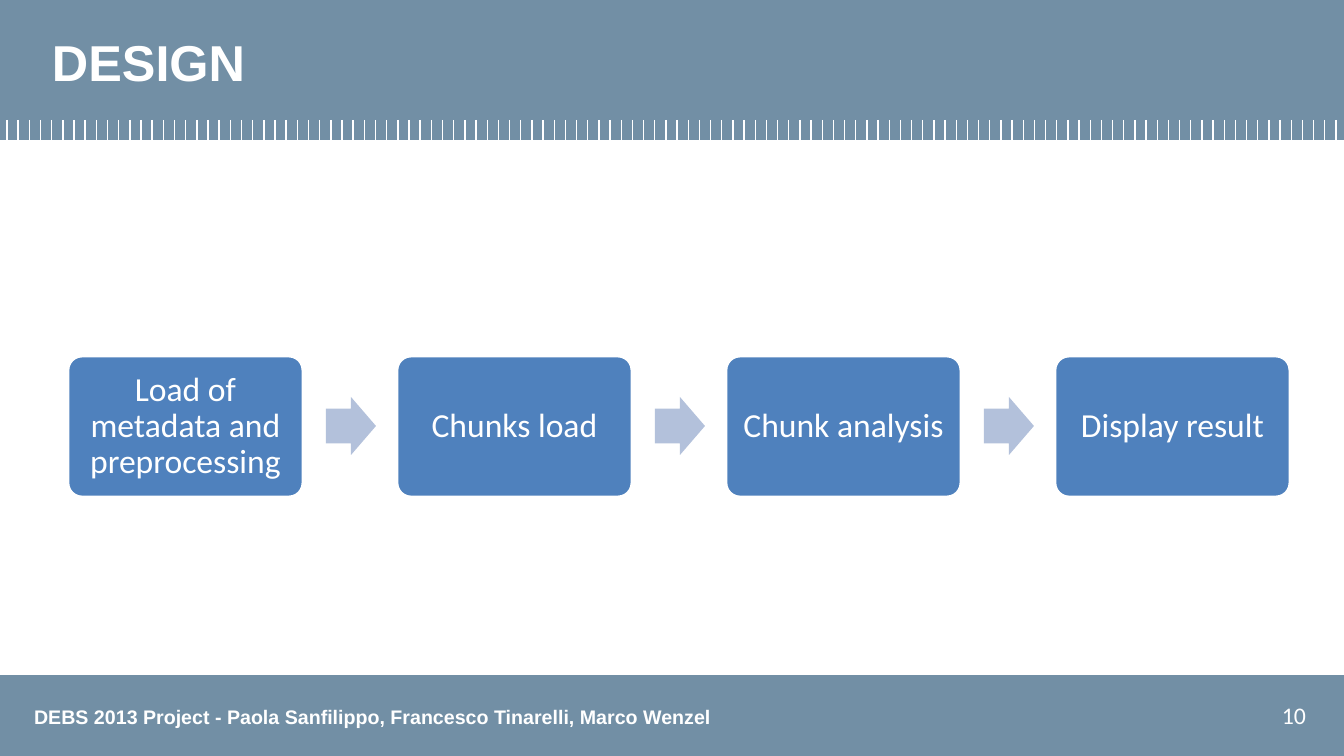
from pptx import Presentation
from pptx.dml.color import RGBColor
from pptx.enum.shapes import MSO_CONNECTOR, MSO_SHAPE
from pptx.enum.text import MSO_ANCHOR, PP_ALIGN
from pptx.oxml.ns import qn
from pptx.util import Pt
from lxml.etree import SubElement

EMU_PER_PIXEL = 914400 / 100.8
PAGE_WIDTH, PAGE_HEIGHT = 1344, 756
WHITE, SLATE, BLUE, PALE_BLUE = "FFFFFF", "728FA5", "4F81BD", "B3C1DB"

STEPS = ["Load of metadata and preprocessing", "Chunks load",
         "Chunk analysis", "Display result"]
STEP_LEFT, STEP_PITCH, ARROW_OFFSET = 68, 329, 258

HEADER_HEIGHT, FOOTER_TOP = 140, 675
TICK_COUNT, TICK_LEFT, TICK_RIGHT, TICK_TOP = 120, 7, 1336, 120


def emu(pixels):
    """Turn pixels into EMU."""
    return round(pixels * EMU_PER_PIXEL)


def color(value):
    """Turn a hex string into a colour."""
    return RGBColor.from_string(value)


def write(box, text, size=24, font="Calibri", bold=False, wrap=True,
          align=PP_ALIGN.LEFT, anchor=MSO_ANCHOR.TOP, inset=(10, 5), spacing=1.0):
    """Write one formatted white paragraph into a shape."""
    frame = box.text_frame
    frame.word_wrap = wrap
    frame.vertical_anchor = anchor
    frame.margin_left = frame.margin_right = emu(inset[0])
    frame.margin_top = frame.margin_bottom = emu(inset[1])
    para = frame.paragraphs[0]
    para.alignment = align
    para.line_spacing = spacing
    span = para.add_run()
    span.text = text
    span.font.size = Pt(size)
    span.font.name = font
    span.font.bold = bold
    span.font.color.rgb = color(WHITE)


def add_label(page, left, top, width, height, text, **style):
    """Add a text box."""
    box = page.shapes.add_textbox(emu(left), emu(top), emu(width), emu(height))
    write(box, text, **style)


def add_block(page, kind, left, top, width, height, fill, adjust=(), line_width=0):
    """Add a filled preset shape, with a white outline if it has a width."""
    block = page.shapes.add_shape(kind, emu(left), emu(top), emu(width), emu(height))
    block.shadow.inherit = False
    block.fill.solid()
    block.fill.fore_color.rgb = color(fill)
    for index, value in enumerate(adjust):
        block.adjustments[index] = value
    if line_width:
        block.line.color.rgb = color(WHITE)
        block.line.width = Pt(line_width)
    else:
        block.line.fill.background()
    return block


def add_ticks(page):
    """Draw the evenly spaced ruler ticks at the foot of the header."""
    pitch = (TICK_RIGHT - TICK_LEFT) / (TICK_COUNT - 1)
    for index in range(TICK_COUNT):
        x = emu(TICK_LEFT + index * pitch)
        tick = page.shapes.add_connector(
            MSO_CONNECTOR.STRAIGHT, x, emu(TICK_TOP), x, emu(HEADER_HEIGHT))
        tick.line.color.rgb = color(WHITE)
        tick.line.width = Pt(1)
        SubElement(tick._element.spPr, qn("a:effectLst"))


def add_process(page):
    """Draw the row of steps with an arrow between neighbours."""
    for index, step in enumerate(STEPS):
        left = STEP_LEFT + index * STEP_PITCH
        block = add_block(page, MSO_SHAPE.ROUNDED_RECTANGLE, left, 356, 235, 141,
                          BLUE, adjust=[0.1], line_width=2)
        write(block, step, align=PP_ALIGN.CENTER, anchor=MSO_ANCHOR.MIDDLE,
              inset=(10, 10), spacing=0.9)
        if index < len(STEPS) - 1:
            add_block(page, MSO_SHAPE.RIGHT_ARROW, left + ARROW_OFFSET, 397, 50, 58,
                      PALE_BLUE, adjust=[0.6, 0.5])


def main():
    """Build the slide and save it."""
    deck = Presentation()
    deck.slide_width, deck.slide_height = emu(PAGE_WIDTH), emu(PAGE_HEIGHT)
    page = deck.slides.add_slide(deck.slide_layouts[6])

    add_block(page, MSO_SHAPE.RECTANGLE, 0, 0, PAGE_WIDTH, HEADER_HEIGHT, SLATE)
    add_block(page, MSO_SHAPE.RECTANGLE, 0, FOOTER_TOP, PAGE_WIDTH,
              PAGE_HEIGHT - FOOTER_TOP, SLATE)
    add_label(page, 24, 700, 700, 34,
              "DEBS 2013 Project - Paola Sanfilippo, Francesco Tinarelli, Marco Wenzel",
              size=14, font="Arial", bold=True, wrap=False)
    add_ticks(page)
    add_process(page)
    add_label(page, 1272, 696, 60, 40, "10", size=17)
    add_label(page, 42, 15, 1261, 93, "DESIGN", size=36, font="Arial", bold=True,
              anchor=MSO_ANCHOR.MIDDLE)

    deck.save("out.pptx")


main()
